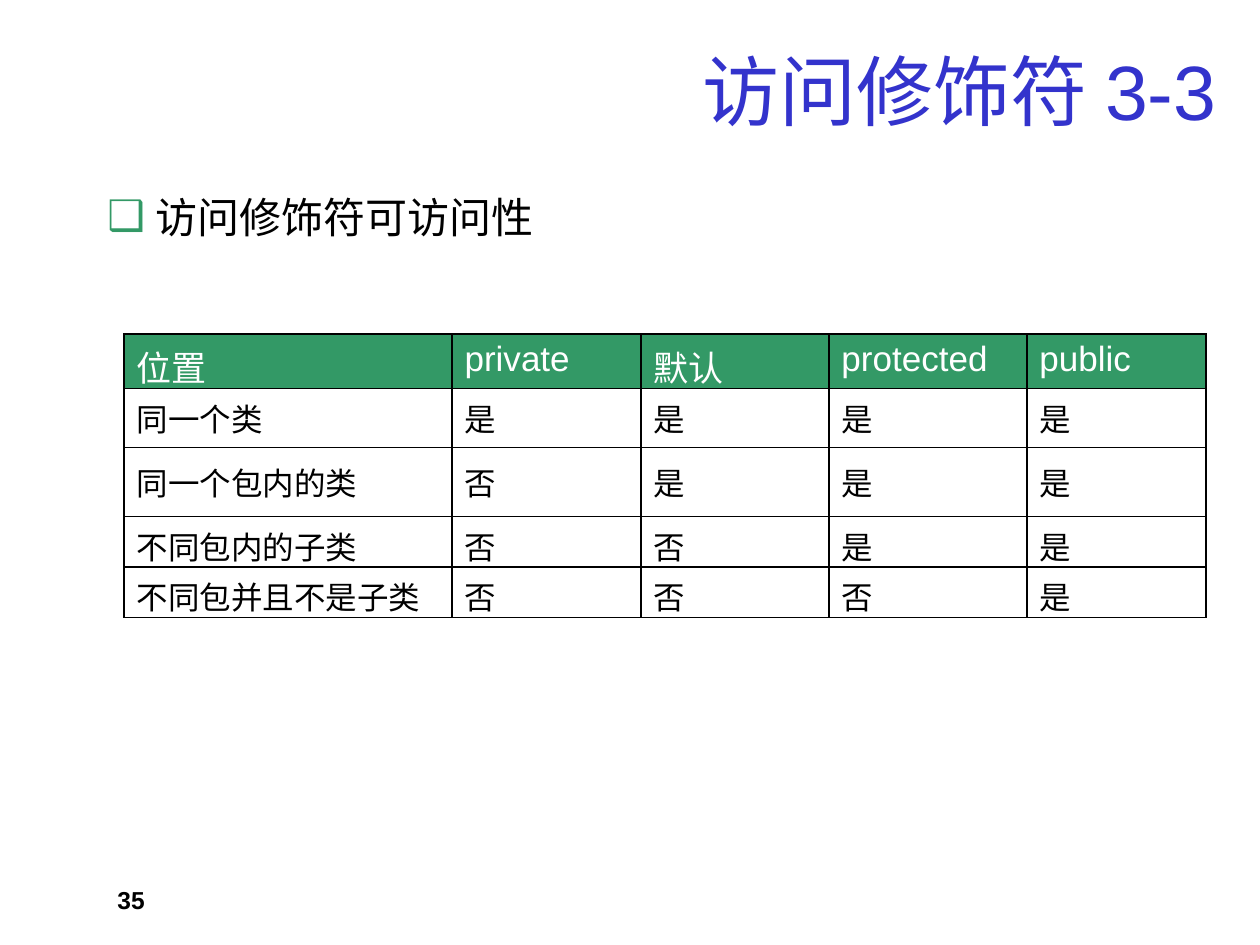
"""Build the slide on access modifier visibility."""
from dataclasses import dataclass

from lxml.etree import SubElement
from pptx import Presentation
from pptx.dml.color import RGBColor
from pptx.enum.text import MSO_ANCHOR, PP_ALIGN
from pptx.oxml.ns import qn
from pptx.util import Emu, Pt

PX = 914400 // 126
FONT = "Arial"
BLUE = RGBColor(0x33, 0x33, 0xCC)
GREEN = RGBColor(0x33, 0x99, 0x66)
BLACK = RGBColor(0, 0, 0)
WHITE = RGBColor(255, 255, 255)
INDENT = 48
COLS = (328, 189, 188, 198, 179)


@dataclass(frozen=True)
class Row:
    height: int
    texts: tuple[str, ...]


@dataclass(frozen=True)
class Style:
    size: int
    color: RGBColor
    bold: bool = False


HEADER = Style(20, WHITE)
BODY = Style(18, BLACK)
ROWS = (
    Row(49, ("位置", "private", "默认", "protected", "public")),
    Row(59, ("同一个类", "是", "是", "是", "是")),
    Row(69, ("同一个包内的类", "否", "是", "是", "是")),
    Row(49, ("不同包内的子类", "否", "否", "是", "是")),
    Row(49, ("不同包并且不是子类", "否", "否", "否", "是")),
)


def px(n: int) -> Emu:
    return Emu(n * PX)


def add_run(p, text: str, style: Style) -> None:
    r = p.add_run()
    r.text = text
    r.font.name = FONT
    r.font.size = Pt(style.size)
    r.font.bold = style.bold
    r.font.color.rgb = style.color


def hang(p):
    pPr = p._p.get_or_add_pPr()
    pPr.set("marL", str(px(INDENT)))
    pPr.set("indent", str(-px(INDENT)))
    return pPr


def add_text(s, box: tuple[int, ...], text: str, style: Style):
    tf = s.shapes.add_textbox(*map(px, box)).text_frame
    tf.word_wrap = True
    p = tf.paragraphs[0]
    add_run(p, text, style)
    return p


def add_bullet(p) -> None:
    pPr = hang(p)
    SubElement(SubElement(pPr, qn("a:spcBef")), qn("a:spcPct"), val="20000")
    SubElement(SubElement(pPr, qn("a:buClr")), qn("a:srgbClr"), val=str(GREEN))
    SubElement(pPr, qn("a:buFont"), typeface=FONT)
    SubElement(pPr, qn("a:buChar"), char="❑")


def add_borders(cell) -> None:
    tcPr = cell._tc.get_or_add_tcPr()
    for side in ("lnL", "lnR", "lnT", "lnB"):
        ln = SubElement(tcPr, qn(f"a:{side}"), w=str(Pt(1)))
        fill = SubElement(ln, qn("a:solidFill"))
        SubElement(fill, qn("a:srgbClr"), val=str(BLACK))


def fill_cell(cell, text: str, header: bool) -> None:
    add_borders(cell)
    if header:
        cell.fill.solid()
        cell.fill.fore_color.rgb = GREEN
    else:
        cell.fill.background()
        cell.vertical_anchor = MSO_ANCHOR.MIDDLE
    p = cell.text_frame.paragraphs[0]
    hang(p)
    add_run(p, text, HEADER if header else BODY)


def add_access_table(s) -> None:
    height = sum(row.height for row in ROWS)
    frame = s.shapes.add_table(
        len(ROWS), len(COLS), px(124), px(334), px(sum(COLS)), px(height))
    table = frame.table
    table.first_row = table.horz_banding = False
    for col, width in zip(table.columns, COLS):
        col.width = px(width)
    for i, row in enumerate(ROWS):
        table.rows[i].height = px(row.height)
        for j, text in enumerate(row.texts):
            fill_cell(table.cell(i, j), text, i == 0)


def add_title(s, text: str) -> None:
    sp = s.shapes.title
    sp.left, sp.top, sp.width, sp.height = map(px, (95, 35, 1134, 110))
    tf = sp.text_frame
    tf.vertical_anchor = MSO_ANCHOR.MIDDLE
    p = tf.paragraphs[0]
    p.alignment = PP_ALIGN.RIGHT
    add_run(p, text, Style(44, BLUE))


def main() -> None:
    prs = Presentation()
    prs.slide_width, prs.slide_height = px(1260), px(945)
    s = prs.slides.add_slide(prs.slide_layouts[5])
    add_title(s, "访问修饰符 3-3")
    add_text(s, (105, 879, 294, 30), "35", Style(14, BLACK, True))
    add_bullet(add_text(s, (95, 185, 1081, 129), "访问修饰符可访问性", Style(24, BLACK)))
    add_access_table(s)
    prs.save("out.pptx")


main()
